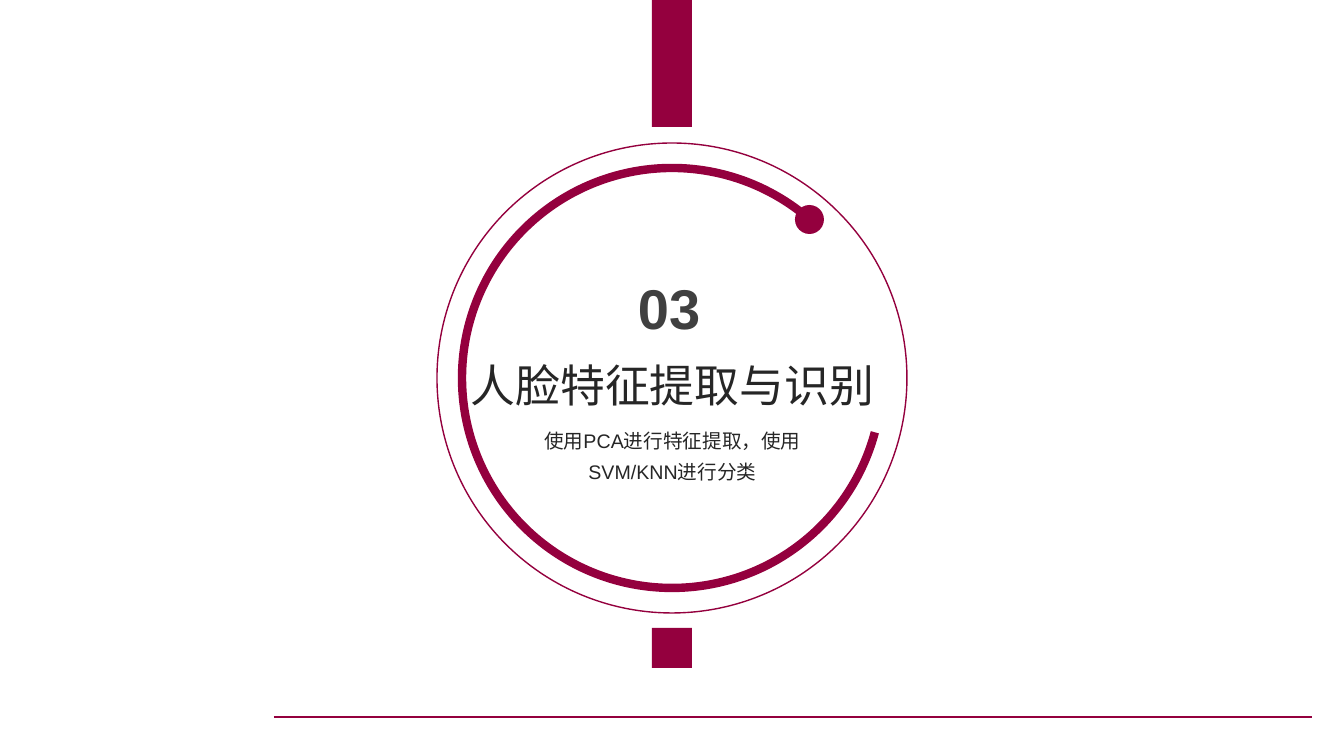
from pptx import Presentation
from pptx.dml.color import RGBColor
from pptx.enum.shapes import MSO_CONNECTOR, MSO_SHAPE
from pptx.enum.text import MSO_AUTO_SIZE, PP_ALIGN
from pptx.util import Pt
from lxml import etree

PX = 914400 / 100.8  # EMU in one px
HUES = {"wine": "94003E", "ink": "262626", "gray": "404040"}


def emu(*sizes):
    return [round(n * PX) for n in sizes]


def hue(name):
    return RGBColor.from_string(HUES[name])


deck = Presentation()
deck.slide_width, deck.slide_height = emu(1344, 756)
slide = deck.slides.add_slide(deck.slide_layouts[6])
shapes = slide.shapes

# Footer rule
rule = shapes.add_connector(MSO_CONNECTOR.STRAIGHT, *emu(274, 717, 1312, 717))
rule.line.color.rgb = hue("wine")
rule.line.width = Pt(1)
props = rule._element.spPr
etree.SubElement(props, props.nsmap["a"].join("{}") + "effectLst")

# Title, summary and section number
texts = [
    ("人脸特征提取与识别", (459, 353, 427, 65), False, PP_ALIGN.CENTER, 1,
     {"size": Pt(32), "bold": False}, "ink"),
    ("使用PCA进行特征提取，使用SVM/KNN进行分类", (505, 417, 335, 70), True,
     PP_ALIGN.CENTER, 1.3, {"size": Pt(14), "bold": False}, "ink"),
    ("03", (628, 269, 84, 78), False, PP_ALIGN.LEFT, 1,
     {"size": Pt(40), "bold": True}, "gray"),
]
for words, area, wrap, align, space, style, tone in texts:
    frame = shapes.add_textbox(*emu(*area)).text_frame
    frame.word_wrap = wrap
    frame.auto_size = MSO_AUTO_SIZE.SHAPE_TO_FIT_TEXT
    para = frame.paragraphs[0]
    para.alignment = align
    para.line_spacing = space
    run = para.add_run()
    run.text = words
    for key, value in {"name": "Arial", **style}.items():
        setattr(run.font, key, value)
    run.font.color.rgb = hue(tone)

# Thin ring, thick arc, dot and the two bars; width 0 means filled
marks = [
    (MSO_SHAPE.OVAL, (437, 143, 470, 470), 315, 1),
    (MSO_SHAPE.ARC, (462, 168, 420, 420), 105, 6),
    (MSO_SHAPE.OVAL, (795, 205, 29, 29), 315, 0),
    (MSO_SHAPE.RECTANGLE, (652, 0, 40, 127), 0, 0),
    (MSO_SHAPE.RECTANGLE, (652, 628, 40, 40), 0, 0),
]
for kind, area, turn, width in marks:
    mark = shapes.add_shape(kind, *emu(*area))
    mark.shadow.inherit = False
    mark.rotation = turn
    if width:
        mark.fill.background()
        mark.line.color.rgb = hue("wine")
        mark.line.width = Pt(width)
    else:
        mark.fill.solid()
        mark.fill.fore_color.rgb = hue("wine")
        mark.line.fill.background()
    if kind == MSO_SHAPE.ARC:
        mark.adjustments[0] = 162
        mark.adjustments[1] = 123.11

deck.save("out.pptx")
